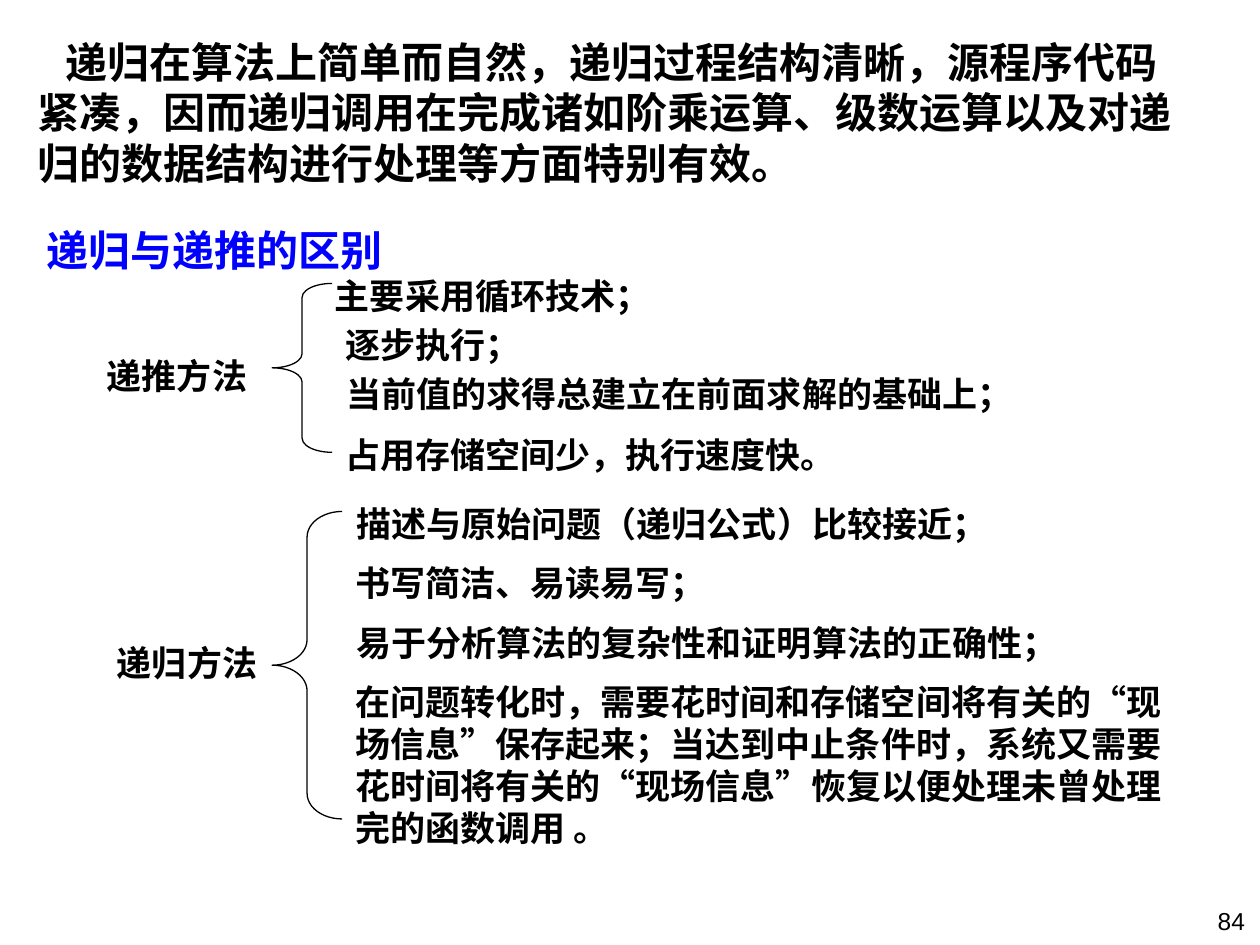
from itertools import groupby

from lxml import etree
from pptx import Presentation
from pptx.dml.color import RGBColor
from pptx.enum.shapes import MSO_SHAPE
from pptx.enum.text import MSO_AUTO_SIZE, PP_ALIGN
from pptx.oxml.ns import qn
from pptx.util import Inches, Pt

LEFT_BRACE = MSO_SHAPE.LEFT_BRACE
NO_AUTOFIT = MSO_AUTO_SIZE.NONE
LEFT, RIGHT = PP_ALIGN.LEFT, PP_ALIGN.RIGHT

CELL = Inches(0.1)  # the slide is a grid of 100 columns by 75 rows
CHINESE = "Noto Sans CJK SC"
QUOTES = "“”"
BLACK, BLUE = "000000", "0000FF"


def color(hex_value):
    return RGBColor.from_string(hex_value)


def add_text(slide, text, column, row, columns, rows, size=20, fill=BLACK,
             latin=CHINESE, bold=True, align=LEFT, top=0.08):
    """Add a one-paragraph box placed in grid cells; quotes get a serif font."""
    box = slide.shapes.add_textbox(*(round(n * CELL) for n in (column, row, columns, rows)))
    frame = box.text_frame
    frame_format = {"word_wrap": True, "auto_size": NO_AUTOFIT,
                    "margin_top": Inches(top), "margin_bottom": Inches(0.02)}
    for name, value in frame_format.items():
        setattr(frame, name, value)
    paragraph = frame.paragraphs[0]
    paragraph.alignment = align
    paragraph.line_spacing = Pt(size * 1.2)
    for quoted, letters in groupby(text, lambda letter: letter in QUOTES):
        run = paragraph.add_run()
        run.text = "".join(letters)
        font_format = {"name": "Times New Roman" if quoted else latin,
                       "size": Pt(size), "bold": bold}
        for name, value in font_format.items():
            setattr(run.font, name, value)
        run.font.color.rgb = color(fill)
        east_asian = etree.Element(qn("a:ea"), typeface=CHINESE)
        run.font._element.find(qn("a:latin")).addnext(east_asian)
    return paragraph


presentation = Presentation()
presentation.slide_width = 100 * CELL
presentation.slide_height = 75 * CELL
slide = presentation.slides.add_slide(presentation.slide_layouts[6])

introduction = add_text(
    slide,
    "递归在算法上简单而自然，递归过程结构清晰，源程序代码紧凑，因而递归调用在完成诸如"
    "阶乘运算、级数运算以及对递归的数据结构进行处理等方面特别有效。",
    2, 2.1, 92.9, 13, size=24)
introduction._p.get_or_add_pPr().set("indent", str(Inches(0.22)))
add_text(slide, "递归与递推的区别", 2.7, 17, 35, 5, size=24, fill=BLUE)

# Each method: label cells, brace cells, then its points as (text, column, row, columns, rows)
methods = [
    (("递推方法", 7.5, 27.3, 13.9, 4.3), (21.6, 22.5, 4.75, 13.4), [
        ("主要采用循环技术；", 25.6, 21, 27.1, 4.3),
        ("逐步执行；", 26.4, 24.9, 30.4, 4.3),
        ("当前值的求得总建立在前面求解的基础上；", 26.5, 28.8, 54.9, 4.3),
        ("占用存储空间少，执行速度快。", 26.4, 33.6, 41, 4.3),
    ]),
    (("递归方法", 8.3, 50.1, 13.3, 4.3), (21.6, 40.6, 5.55, 24.4), [
        ("描述与原始问题（递归公式）比较接近；", 27.3, 39.1, 52.1, 4.3),
        ("书写简洁、易读易写；", 27.2, 43.8, 29.9, 4.3),
        ("易于分析算法的复杂性和证明算法的正确性；", 27.3, 48.5, 57.7, 4.3),
        ("在问题转化时，需要花时间和存储空间将有关的“现场信息”保存起来；"
         "当达到中止条件时，系统又需要花时间将有关的“现场信息”恢复以便处理"
         "未曾处理完的函数调用 。", 27.2, 53.2, 66.9, 14.4),
    ]),
]
for label, brace_cells, points in methods:
    add_text(slide, *label)
    for point in points:
        add_text(slide, *point)
    brace = slide.shapes.add_shape(LEFT_BRACE, *(round(n * CELL) for n in brace_cells))
    brace.shadow.inherit = False
    brace.fill.background()
    brace.line.color.rgb = color(BLACK)
    brace.line.width = Pt(0.75)
    brace.adjustments[0] = brace.height / 12 / brace.width

add_text(slide, "84", 79, 71.4, 20.8, 5, size=14, latin="Arial",
         bold=False, align=RIGHT, top=0.05)

presentation.save("out.pptx")
